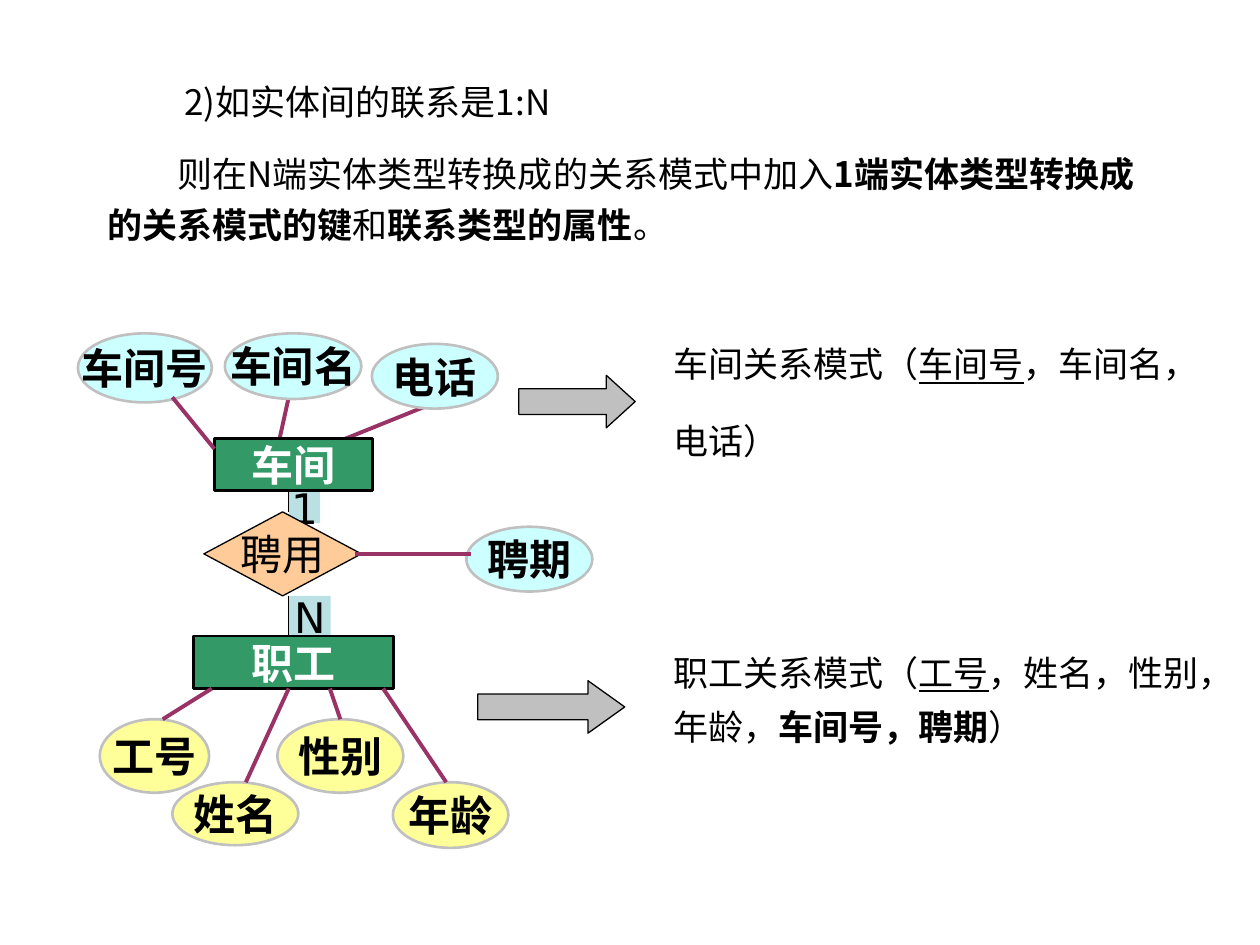
from pptx import Presentation
from pptx.dml.color import RGBColor
from pptx.enum.shapes import MSO_CONNECTOR, MSO_SHAPE
from pptx.enum.text import MSO_ANCHOR, MSO_AUTO_SIZE, PP_ALIGN
from pptx.oxml.ns import qn
from pptx.util import Pt
from lxml.etree import SubElement

BLACK = RGBColor(0x00, 0x00, 0x00)
WHITE = RGBColor(0xFF, 0xFF, 0xFF)
GRAY = RGBColor(0xC0, 0xC0, 0xC0)
GREEN = RGBColor(0x33, 0x99, 0x66)
YELLOW = RGBColor(0xFF, 0xFF, 0x99)
CYAN = RGBColor(0xCC, 0xFF, 0xFF)
ORANGE = RGBColor(0xFF, 0xCC, 0x99)
PALE_BLUE = RGBColor(0xBB, 0xE0, 0xE3)
PLUM = RGBColor(0x99, 0x33, 0x66)
BODY_FONT, LABEL_FONT, CARDINALITY_FONT = "Noto Sans CJK SC", "Roboto", "DejaVu Sans"

presentation = Presentation()
presentation.slide_width, presentation.slide_height = Pt(720), Pt(540)
slide = presentation.slides.add_slide(presentation.slide_layouts[1])
title = slide.shapes.title
title.element.getparent().remove(title.element)


def write_paragraphs(text_frame, paragraphs, line_spacing):
    """Each paragraph is a list of (text, style), style being "", "b" or "u"."""
    text_frame.word_wrap = True
    text_frame.auto_size = MSO_AUTO_SIZE.NONE
    for number, runs in enumerate(paragraphs):
        paragraph = text_frame.add_paragraph() if number else text_frame.paragraphs[0]
        paragraph.line_spacing = line_spacing
        paragraph.space_before = Pt(12.5 if number else 0)
        for text, style in runs:
            run = paragraph.add_run()
            run.text = text
            run.font.name, run.font.size = BODY_FONT, Pt(20)
            run.font.color.rgb = BLACK
            run.font.bold = style == "b"
            run.font.underline = style == "u"


def add_links(links):
    for x1, y1, x2, y2, color, width in links:
        link = slide.shapes.add_connector(
            MSO_CONNECTOR.STRAIGHT, Pt(x1), Pt(y1), Pt(x2), Pt(y2))
        link.line.color.rgb = color
        link.line.width = Pt(width)
        SubElement(link.element.spPr, qn("a:effectLst"))


# Rule for 1:N relationships
body = slide.placeholders[1]
body.left, body.top, body.width, body.height = Pt(54), Pt(37.5), Pt(620), Pt(113)
write_paragraphs(body.text_frame, [
    [("2)如实体间的联系是1:N", "")],
    [("则在N端实体类型转换成的关系模式中加入", ""),
     ("1端实体类型转换成的关系模式的键", "b"), ("和", ""),
     ("联系类型的属性", "b"), ("。", "")],
], 1.2)
for paragraph, indent in zip(body.text_frame.paragraphs, (44, 40)):
    properties = paragraph._p.get_or_add_pPr()
    properties.set("marL", "0")
    properties.set("indent", str(Pt(indent)))
    SubElement(properties, qn("a:buNone"))

# Entity-relationship diagram
add_links([
    (165, 227, 158.5, 256.5, PLUM, 2.25),
    (242.5, 232.5, 183, 256.5, PLUM, 2.25),
])

ellipse, entity = MSO_SHAPE.OVAL, MSO_SHAPE.RECTANGLE
nodes = [
    # text, kind, left, top, width, height, fill, line
    ("N", entity, 165, 340.5, 24, 24, PALE_BLUE, None),
    ("1", entity, 165, 281, 18, 18, PALE_BLUE, None),
    ("工号", ellipse, 57, 411, 62.5, 42, YELLOW, GRAY),
    ("年龄", ellipse, 224.5, 447, 66, 37.5, YELLOW, GRAY),
    ("职工", entity, 110.5, 363.5, 114.5, 30, GREEN, BLACK),
    ("车间", entity, 122.5, 250.5, 90.5, 30, GREEN, BLACK),
    ("姓名", ellipse, 98.5, 447, 72, 36, YELLOW, GRAY),
    ("性别", ellipse, 158.5, 411, 72, 42, YELLOW, GRAY),
    ("车间号", ellipse, 44.5, 190.5, 76.5, 39.5, CYAN, GRAY),
    ("车间名", ellipse, 128.5, 190.5, 78, 37.5, CYAN, GRAY),
    ("电话", ellipse, 212.5, 196.5, 72, 37, CYAN, GRAY),
    ("聘用", MSO_SHAPE.DIAMOND, 116.5, 292.5, 90, 48, ORANGE, BLACK),
    ("聘期", ellipse, 266.5, 301, 72, 37, CYAN, GRAY),
]
for text, kind, left, top, width, height, fill, line in nodes:
    node = slide.shapes.add_shape(kind, Pt(left), Pt(top), Pt(width), Pt(height))
    node.shadow.inherit = False
    node.fill.solid()
    node.fill.fore_color.rgb = fill
    if line is None:
        node.line.fill.background()
    else:
        node.line.color.rgb = line
        node.line.width = Pt(0.75 if kind == MSO_SHAPE.DIAMOND else 1.5)
    node.text_frame.word_wrap = False
    node.text_frame.vertical_anchor = MSO_ANCHOR.MIDDLE
    paragraph = node.text_frame.paragraphs[0]
    paragraph.alignment = PP_ALIGN.CENTER
    run = paragraph.add_run()
    run.text = text
    run.font.size = Pt(24)
    run.font.name = CARDINALITY_FONT if fill == PALE_BLUE else LABEL_FONT
    run.font.bold = fill not in (PALE_BLUE, ORANGE)
    run.font.color.rgb = WHITE if fill == GREEN else BLACK

add_links([
    (188.5, 393.5, 194.5, 411, PLUM, 2.25),
    (121, 393.5, 93, 411, PLUM, 2.25),
    (98.5, 227, 122.5, 256.5, PLUM, 2.25),
    (165, 393.5, 140.5, 447, PLUM, 2.25),
    (219, 393.5, 255, 447, PLUM, 2.25),
    (269, 316.5, 203, 316.5, PLUM, 2.25),
    (165, 281, 165, 292.5, BLACK, 0.75),
    (165, 340.5, 165, 364, BLACK, 0.75),
])

# Resulting relation schemas
schemas = [
    (377.5, 185, 323, 82, [
        [("车间关系模式（", ""), ("车间号", "u"), ("，车间名，", "")],
        [("电话）", "")],
    ]),
    (377.5, 361, 334, 70, [
        [("职工关系模式（", ""), ("工号", "u"), ("，姓名，性别，年龄，", ""),
         ("车间号，聘期", "b"), ("）", "")],
    ]),
]
for left, top, width, height, paragraphs in schemas:
    schema = slide.shapes.add_textbox(Pt(left), Pt(top), Pt(width), Pt(height))
    schema.text_frame.vertical_anchor = MSO_ANCHOR.MIDDLE
    write_paragraphs(schema.text_frame, paragraphs, 1.3)

for left, top, width, head in [(296.5, 214.5, 66.5, 0.55), (273, 389, 84, 0.7)]:
    arrow = slide.shapes.add_shape(
        MSO_SHAPE.RIGHT_ARROW, Pt(left), Pt(top), Pt(width), Pt(30))
    arrow.shadow.inherit = False
    arrow.adjustments[0], arrow.adjustments[1] = 0.49, head
    arrow.fill.solid()
    arrow.fill.fore_color.rgb = GRAY
    arrow.line.color.rgb = BLACK
    arrow.line.width = Pt(0.75)

presentation.save("out.pptx")
